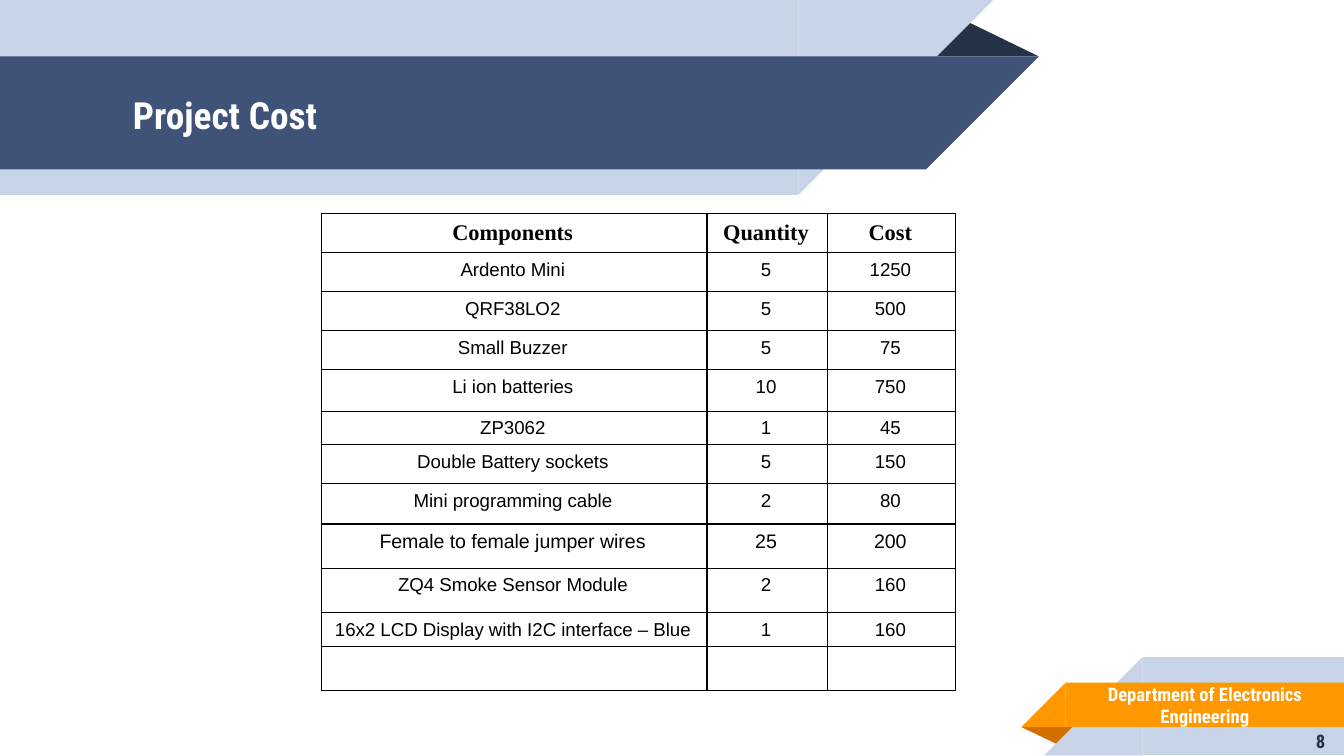
from dataclasses import dataclass

from lxml import etree
from pptx import Presentation
from pptx.dml.color import RGBColor
from pptx.enum import shapes, text
from pptx.oxml import ns
from pptx.util import Inches, Pt

KIND = shapes.MSO_SHAPE
ALIGN = text.PP_ALIGN


@dataclass(frozen=True)
class Theme:
    pale: str = "C7D3E6"
    navy: str = "3F5378"
    dark: str = "263248"
    gold: str = "FF9800"
    rust: str = "D26F00"
    white: str = "FFFFFF"
    black: str = "000000"
    head: str = "Roboto Condensed"
    body: str = "Arial"
    serif: str = "Times New Roman"
    title: float = 20
    label: float = 12
    small: float = 10
    wide: float = 10.5


THEME = Theme()
COLS = [2.87, 0.9, 0.95]
ROWS = [
    (0.29, "Components", "Quantity", "Cost"),
    (0.29, "Ardento Mini", "5", "1250"),
    (0.29, "QRF38LO2", "5", "500"),
    (0.29, "Small Buzzer", "5", "75"),
    (0.31, "Li ion batteries", "10", "750"),
    (0.25, "ZP3062", "1", "45"),
    (0.29, "Double Battery sockets", "5", "150"),
    (0.3, "Mini programming cable", "2", "80"),
    (0.33, "Female to female jumper wires", "25", "200"),
    (0.33, "ZQ4 Smoke Sensor Module", "2", "160"),
    (0.25, "16x2 LCD Display with I2C interface – Blue", "1", "160"),
    (0.33, "", "", ""),
]
WIDE_ROW = 8


def style(frame, words, size, color, face, bold=True, align=ALIGN.LEFT):
    frame.text = words
    para = frame.paragraphs[0]
    para.alignment = align
    for run in para.runs:
        font = run.font
        font.size, font.name, font.bold = Pt(size), face, bold
        font.color.rgb = RGBColor.from_string(color)


def shape(slide, kind, box, fill, turn=0):
    part = slide.shapes.add_shape(kind, *map(Inches, box))
    part.shadow.inherit = False
    part.fill.solid()
    part.fill.fore_color.rgb = RGBColor.from_string(fill)
    part.line.fill.background()
    part.rotation = turn
    return part


def fold(slide, box, fill, turn=0):
    part = shape(slide, KIND.ISOSCELES_TRIANGLE, box, fill, turn)
    part.adjustments[0] = 0.324


def band(slide, box, fill, left=False):
    """Bar with a 45 degree end, on the right or, if asked, on the left."""
    x, y, w, h = box
    bar = (x + h if left else x, y, w - h, h)
    tip = (x if left else x + w - h, y, h, h)
    body = shape(slide, KIND.RECTANGLE, bar, fill)
    shape(slide, KIND.RIGHT_TRIANGLE, tip, fill, 270 if left else 90)
    return body


def label(slide, box, words, size, color, align=ALIGN.LEFT):
    frame = slide.shapes.add_textbox(*map(Inches, box)).text_frame
    fit(frame)
    style(frame, words, size, color, THEME.head, align=align)


def fit(frame):
    frame.word_wrap = True
    frame.vertical_anchor = text.MSO_ANCHOR.MIDDLE
    frame.margin_left = frame.margin_right = Inches(0.1)
    frame.margin_top = frame.margin_bottom = 0


def header(slide, box):
    x, y, w, h = box
    fold(slide, (x + w - 0.85, y + 0.14, 0.85, 0.28), THEME.dark)
    band(slide, (x, y, w - 0.34, h), THEME.pale)
    band(slide, (x, y + 0.42, w, 0.84), THEME.navy)
    label(slide, (x + 0.89, y + 0.43, 6.01, 0.84), "Project Cost",
          THEME.title, THEME.white)


def footer(slide, box):
    x, y, w, h = box
    fold(slide, (x, y + 0.52, 0.43, 0.14), THEME.rust, 180)
    band(slide, (x + 0.17, y, w - 0.17, h), THEME.pale, left=True)
    bar = band(slide, (x, y + 0.19, w, 0.33), THEME.gold, left=True)
    fit(bar.text_frame)
    style(bar.text_frame, "Department of Electronics Engineering",
          THEME.small, THEME.white, THEME.head, align=ALIGN.CENTER)
    label(slide, (x + 0.73, y + 0.52, 1.63, 0.21), "8",
          THEME.small, THEME.dark, ALIGN.RIGHT)


def border(cell):
    props = cell._tc.get_or_add_tcPr()
    for n, side in enumerate(("lnL", "lnR", "lnT", "lnB")):
        line = etree.Element(ns.qn("a:" + side), w=str(Pt(0.75)))
        fill = etree.SubElement(line, ns.qn("a:solidFill"))
        etree.SubElement(fill, ns.qn("a:srgbClr"), val=THEME.black)
        props.insert(n, line)


def costs(slide, box):
    frame = slide.shapes.add_table(len(ROWS), len(COLS), *map(Inches, box))
    table = frame.table
    table.first_row = table.horz_banding = False
    for col, width in zip(table.columns, COLS):
        col.width = Inches(width)
    for r, (height, *words) in enumerate(ROWS):
        table.rows[r].height = Inches(height)
        head = r == 0
        size = THEME.label if head else THEME.wide if r == WIDE_ROW else THEME.small
        face = THEME.serif if head else THEME.body
        for c, word in enumerate(words):
            cell = table.cell(r, c)
            cell.fill.background()
            cell.margin_left, cell.margin_right = Inches(0.08), Inches(0.1)
            cell.margin_top, cell.margin_bottom = Inches(0.05), Inches(0.03)
            style(cell.text_frame, word, size, THEME.black, face, head, ALIGN.CENTER)
            if not word:
                end = etree.SubElement(cell.text_frame.paragraphs[0]._p,
                                       ns.qn("a:endParaRPr"))
                end.set("sz", str(int(size * 100)))
            border(cell)


def main():
    deck = Presentation()
    deck.slide_width, deck.slide_height = Inches(10), Inches(10) * 9 // 16
    slide = deck.slides.add_slide(deck.slide_layouts[6])
    footer(slide, (7.6, 4.89, 2.4, 0.73))
    header(slide, (0, 0, 7.73, 1.45))
    costs(slide, (2.39, 1.59, sum(COLS), sum(row[0] for row in ROWS)))
    deck.save("out.pptx")


if __name__ == "__main__":
    main()
